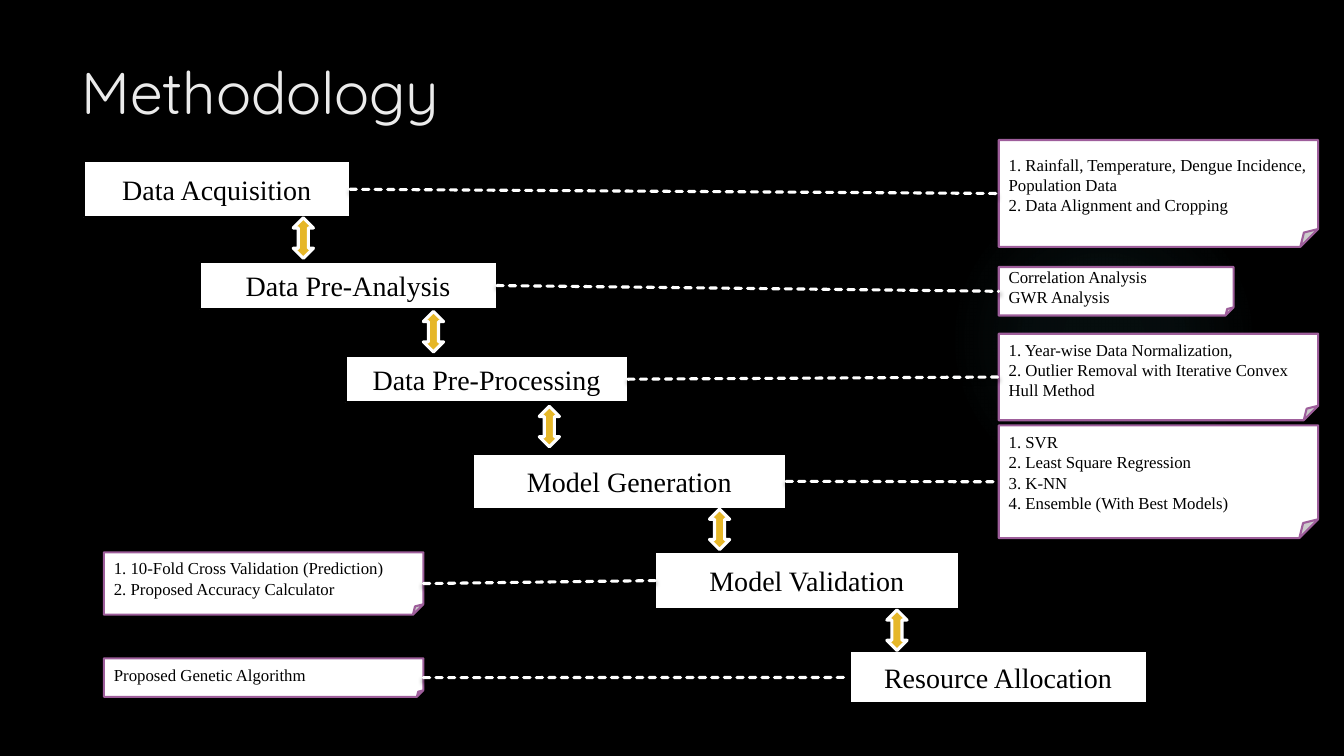
from dataclasses import dataclass

from lxml.etree import SubElement
from pptx import Presentation
from pptx.dml.color import RGBColor
from pptx.enum.dml import MSO_LINE
from pptx.enum.shapes import MSO_CONNECTOR, MSO_SHAPE
from pptx.enum.text import MSO_ANCHOR, MSO_AUTO_SIZE, PP_ALIGN
from pptx.oxml import parse_xml
from pptx.oxml.ns import nsdecls, qn
from pptx.shapes.autoshape import Shape
from pptx.slide import Slide
from pptx.util import Cm, Pt

BLACK, WHITE, TITLE_GREY = "000000", "FFFFFF", "EBEBEB"
PURPLE, GOLD, TEAL = "9E5E9B", "E6B729", "50B9C1"
BODY_FONT = "Times New Roman"
LEFT_SITE, RIGHT_SITE = 1, 3


@dataclass
class Frame:
    left: float
    top: float
    width: float
    height: float


@dataclass
class Step:
    label: str
    frame: Frame
    note: str
    note_frame: Frame


RIGHT_NOTES, LEFT_NOTES, NOTE_WIDTH = 25.17, 2.62, 8.05
STEPS = [
    Step("Data Acquisition", Frame(2.11, 4.06, 6.71, 1.42),
         "1. Rainfall, Temperature, Dengue Incidence, Population Data\n"
         "2. Data Alignment and Cropping",
         Frame(RIGHT_NOTES, 3.53, NOTE_WIDTH, 2.69)),
    Step("Data Pre-Analysis", Frame(5.03, 6.6, 7.49, 1.19),
         "Correlation Analysis\nGWR Analysis",
         Frame(RIGHT_NOTES, 6.73, 5.92, 1.22)),
    Step("Data Pre-Processing", Frame(8.71, 8.97, 7.11, 1.17),
         "1. Year-wise Data Normalization,\n"
         "2. Outlier Removal with Iterative Convex Hull Method",
         Frame(RIGHT_NOTES, 8.41, NOTE_WIDTH, 2.18)),
    Step("Model Generation", Frame(11.91, 11.43, 7.9, 1.4),
         "1. SVR\n2. Least Square Regression\n3. K-NN\n"
         "4. Ensemble (With Best Models)",
         Frame(RIGHT_NOTES, 10.72, NOTE_WIDTH, 2.84)),
    Step("Model Validation", Frame(16.51, 13.92, 7.65, 1.42),
         "1. 10-Fold Cross Validation (Prediction)\n"
         "2. Proposed Accuracy Calculator",
         Frame(LEFT_NOTES, 13.92, NOTE_WIDTH, 1.57)),
    Step("Resource Allocation", Frame(21.41, 16.41, 7.49, 1.32),
         "Proposed Genetic Algorithm",
         Frame(LEFT_NOTES, 16.59, NOTE_WIDTH, 0.97)),
]
ARROW_CORNERS = [(7.39, 5.49), (10.67, 7.85), (13.59, 10.24),
                 (17.88, 12.83), (22.35, 15.37)]


def color(value: str) -> RGBColor:
    return RGBColor.from_string(value)


def add_box(slide: Slide, kind: MSO_SHAPE, frame: Frame, fill: str,
            line: str, line_width: float) -> Shape:
    box = slide.shapes.add_shape(kind, Cm(frame.left), Cm(frame.top),
                                 Cm(frame.width), Cm(frame.height))
    box.shadow.inherit = False
    box.fill.solid()
    box.fill.fore_color.rgb = color(fill)
    box.line.color.rgb = color(line)
    box.line.width = Pt(line_width)
    return box


def write_text(box: Shape, text: str, size: float, align: PP_ALIGN) -> None:
    box.text_frame.text = text
    box.text_frame.vertical_anchor = MSO_ANCHOR.MIDDLE
    for para in box.text_frame.paragraphs:
        para.alignment = align
        for span in para.runs:
            span.font.name = BODY_FONT
            span.font.size = Pt(size)
            span.font.color.rgb = color(BLACK)


def add_glow(slide: Slide) -> None:
    glow = slide.shapes.add_shape(MSO_SHAPE.OVAL, Cm(23.9), Cm(4.65), Cm(7.82), Cm(7.82))
    glow.shadow.inherit = False
    glow.line.fill.background()
    stops = "".join(
        f'<a:gs pos="{position * 1000}"><a:srgbClr val="{TEAL}">'
        f'<a:alpha val="{alpha * 1000}"/></a:srgbClr></a:gs>'
        for position, alpha in [(0, 7), (36, 6), (69, 0)])
    gradient = parse_xml(
        f'<a:gradFill {nsdecls("a")}><a:gsLst>{stops}</a:gsLst><a:path path="circle">'
        '<a:fillToRect l="50000" t="50000" r="50000" b="50000"/></a:path></a:gradFill>')
    glow._element.spPr.find(qn("a:prstGeom")).addnext(gradient)


def add_title(slide: Slide, text: str) -> None:
    title = slide.shapes.title
    title.left, title.top, title.width, title.height = Cm(1.8), Cm(1.27), Cm(26.14), Cm(3.89)
    frame = title.text_frame
    frame.text = text
    frame.auto_size = MSO_AUTO_SIZE.NONE
    frame.vertical_anchor = MSO_ANCHOR.TOP
    para = frame.paragraphs[0]
    para.alignment = PP_ALIGN.LEFT
    font = para.runs[0].font
    font.name, font.size = "Quicksand", Pt(42)
    font.color.rgb = color(TITLE_GREY)


def link(slide: Slide, start: Shape, end: Shape) -> None:
    connector = slide.shapes.add_connector(MSO_CONNECTOR.STRAIGHT, 0, 0, 0, 0)
    connector.begin_connect(start, RIGHT_SITE)
    connector.end_connect(end, LEFT_SITE)
    connector.line.color.rgb = color(WHITE)
    connector.line.width = Pt(2.25)
    connector.line.dash_style = MSO_LINE.SQUARE_DOT
    properties = connector._element.spPr
    properties.find(qn("a:ln")).set("cap", "rnd")
    # Soft shadow straight below the line
    effects = SubElement(properties, qn("a:effectLst"))
    shadow = SubElement(effects, qn("a:outerShdw"), blurRad=str(Pt(3)),
                        dist=str(Pt(2)), dir="5400000", rotWithShape="0")
    shade = SubElement(shadow, qn("a:srgbClr"), val=BLACK)
    SubElement(shade, qn("a:alpha"), val="45000")


def main() -> None:
    deck = Presentation()
    deck.slide_width, deck.slide_height = Cm(33.87), Cm(19.05)
    page = deck.slides.add_slide(deck.slide_layouts[5])
    page.background.fill.solid()
    page.background.fill.fore_color.rgb = color(BLACK)
    add_glow(page)
    add_title(page, "Methodology")

    # Steps and their notes
    pairs = []
    for step in STEPS:
        box = add_box(page, MSO_SHAPE.RECTANGLE, step.frame, WHITE, BLACK, 1.5)
        write_text(box, step.label, 20, PP_ALIGN.CENTER)
        note = add_box(page, MSO_SHAPE.FOLDED_CORNER, step.note_frame, WHITE, PURPLE, 1.5)
        write_text(note, step.note, 12, PP_ALIGN.LEFT)
        pairs.append((box, note))

    # Arrows between consecutive steps
    for left, top in ARROW_CORNERS:
        add_box(page, MSO_SHAPE.UP_DOWN_ARROW, Frame(left, top, 0.51, 1.02), GOLD, WHITE, 2.25)

    # Dashed links, always drawn from left to right
    for pair in pairs:
        start, end = sorted(pair, key=lambda shape: shape.left)
        link(page, start, end)

    deck.save("out.pptx")


if __name__ == "__main__":
    main()
